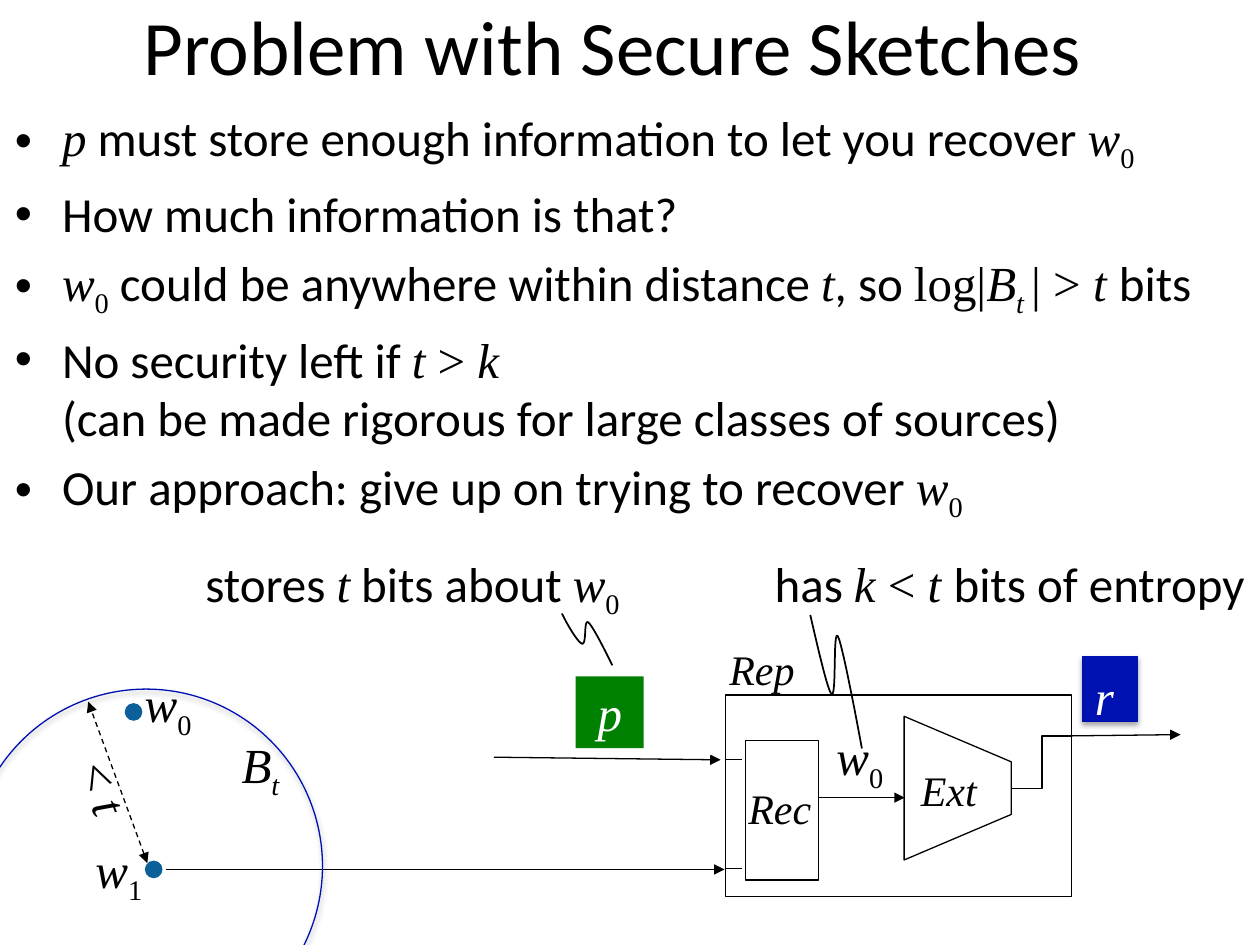
from lxml import etree
from pptx import Presentation
from pptx import util as u
from pptx.dml import color as colors
from pptx.enum import dml, shapes, text
from pptx.oxml import ns

STYLES = {
    "sans": ("Calibri", False, False),
    "serif": ("Times New Roman", False, False),
    "var": ("Times New Roman", True, False),
    "sub": ("Times New Roman", False, True),
    "varsub": ("Times New Roman", True, True),
}
W0 = [("w", "var"), ("0", "sub")]
W1 = [("w", "var"), ("1", "sub")]
BULLETS = [
    [("p", "var"), (" must store enough information to let you recover ", "sans"), *W0],
    [("How much information is that?", "sans")],
    [*W0, (" could be anywhere within distance ", "sans"), ("t", "var"),
     (", so ", "sans"), ("log|", "serif"), ("B", "var"), ("t ", "varsub"),
     ("| > ", "serif"), ("t ", "var"), ("bits", "sans")],
    [("No security left if ", "sans"), ("t", "var"), (" > ", "serif"), ("k", "var"),
     ("\n", "var"), ("(can be made rigorous for large classes of sources)", "sans")],
    [("Our approach: give up on trying to recover ", "sans"), *W0],
]


def rgb(value):
    return colors.RGBColor.from_string(value)


def points(*values):
    return [u.Pt(value) for value in values]


def add_child(parent, tag, **attributes):
    child = etree.SubElement(parent, ns.qn(tag))
    for name, value in attributes.items():
        child.set(name, str(value))
    return child


def write(para, spans, size=28, color="000000"):
    for words, style in spans:
        if words == "\n":
            para.add_line_break()
            continue
        name, italic, lowered = STYLES[style]
        span = para.add_run()
        span.text = words
        span.font.name = name
        span.font.italic = italic
        span.font.size = u.Pt(size)
        span.font.color.rgb = rgb(color)
        if lowered:
            span._r.get_or_add_rPr().set("baseline", "-25000")


def add_label(page, frame, spans, size=28, color="000000", fill=None, rotation=0):
    box = page.shapes.add_textbox(*points(*frame))
    box.rotation = rotation
    if fill:
        box.fill.solid()
        box.fill.fore_color.rgb = rgb(fill)
    box.text_frame.word_wrap = False
    box.text_frame.auto_size = text.MSO_AUTO_SIZE.SHAPE_TO_FIT_TEXT
    para = box.text_frame.paragraphs[0]
    if fill:
        para.alignment = text.PP_ALIGN.CENTER
    write(para, spans, size, color)


def add_title(page, words):
    box = page.shapes.add_textbox(*points(-39, -8, 778.5, 67.7))
    box.text_frame.word_wrap = True
    box.text_frame.vertical_anchor = text.MSO_ANCHOR.MIDDLE
    para = box.text_frame.paragraphs[0]
    para.alignment = text.PP_ALIGN.CENTER
    write(para, [(words, "sans")], 44)


def add_bullets(page):
    box = page.shapes.add_textbox(*points(1.4, 57.6, 748, 245))
    frame = box.text_frame
    frame.word_wrap = True
    for index, spans in enumerate(BULLETS):
        para = frame.add_paragraph() if index else frame.paragraphs[0]
        para.space_before = u.Pt(5.6 if index else 0)
        properties = para._p.get_or_add_pPr()
        properties.set("marL", str(u.Pt(27)))
        properties.set("indent", str(u.Pt(-27)))
        add_child(properties, "a:buFont", typeface="Arial")
        add_child(properties, "a:buChar", char="•")
        write(para, spans)


def paint(shape, fill=None, line=None, width=0.75):
    shape.shadow.inherit = False
    if fill:
        shape.fill.solid()
        shape.fill.fore_color.rgb = rgb(fill)
    else:
        shape.fill.background()
    if line:
        shape.line.color.rgb = rgb(line)
        shape.line.width = u.Pt(width)
    else:
        shape.line.fill.background()


def add_outline(page, kind, frame, fill=None, line=None, shadow=False):
    shape = page.shapes.add_shape(kind, *points(*frame))
    paint(shape, fill, line)
    if shadow:
        effects = shape._element.spPr.find(ns.qn("a:effectLst"))
        outer = add_child(effects, "a:outerShdw", blurRad=u.Pt(3.1), dist=u.Pt(1.8),
                          dir=5400000, rotWithShape=0)
        add_child(add_child(outer, "a:srgbClr", val="000000"), "a:alpha", val=35000)
    return shape


def add_line(page, start, end, heads=(), dashed=False, kind=shapes.MSO_CONNECTOR.STRAIGHT):
    line = page.shapes.add_connector(kind, *points(*start, *end))
    line.line.color.rgb = rgb("000000")
    line.line.width = u.Pt(0.75)
    if dashed:
        line.line.dash_style = dml.MSO_LINE.DASH
    properties = line._element.spPr
    for head in heads:
        add_child(properties.find(ns.qn("a:ln")), head, type="triangle")
    add_child(properties, "a:effectLst")


def add_curve(page, start, bends, steps=12):
    track, here = [], start
    for first, second, end in bends:
        for step in range(1, steps + 1):
            t = step / steps
            track.append(tuple(
                u.Pt((1 - t) ** 3 * a + 3 * t * (1 - t) ** 2 * b
                     + 3 * t ** 2 * (1 - t) * c + t ** 3 * d)
                for a, b, c, d in zip(here, first, second, end)))
        here = end
    builder = page.shapes.build_freeform(*points(*start))
    builder.add_line_segments(track, close=False)
    paint(builder.convert_to_shape(), line="000000", width=1)


def add_rep(page):
    kinds = shapes.MSO_SHAPE
    arrow = ["a:tailEnd"]
    add_outline(page, kinds.RECTANGLE, (414.4, 397.1, 198, 115.2), line="000000")
    add_label(page, (409.7, 364.3, 60.5, 36), [("Rep", "var")], 24)
    add_line(page, (612.7, 420.5), (674.6, 419.8), arrow)
    add_label(page, (329, 386.6, 38.9, 41), [("p", "var")], color="FFFFFF", fill="008000")
    extractor = add_outline(page, kinds.TRAPEZOID, (506.2, 419.8, 82.1, 61.2), line="000000")
    extractor.rotation = 90
    extractor.adjustments[0] = 0.425
    add_label(page, (519.1, 433.4, 54.7, 36), [("Ext", "var")], 24)
    add_line(page, (612.7, 420.5), (578.2, 450.7), kind=shapes.MSO_CONNECTOR.ELBOW)
    add_line(page, (95, 496.8), (414, 496.8), arrow)
    add_line(page, (282.2, 432.7), (411.8, 434.2), arrow)
    add_outline(page, kinds.RECTANGLE, (425.9, 423, 41.8, 79.9), line="000000")
    add_label(page, (420.5, 443.5, 59, 46.8), [("Rec", "var")], 24)
    for y in (434.2, 496.1):
        add_line(page, (414, y), (424.1, y))
    add_line(page, (467.3, 455.8), (517, 455.8), arrow)
    add_label(page, (470.9, 411.8, 46.1, 41), W0)
    add_outline(page, kinds.RECTANGLE, (618.5, 375.1, 31.7, 37.4), "0011B2", "0011B2", True)
    add_label(page, (618.5, 377.3, 35.3, 41), [("r", "var")], color="FFFFFF")


def add_ball(page):
    oval = shapes.MSO_SHAPE.OVAL
    add_outline(page, oval, (-17.3, 393.8, 201.6, 202.3), line="0011B2", shadow=True)
    for x, y in ((71.3, 401.8), (82.8, 491.8)):
        add_outline(page, oval, (x, y, 10.1, 10.1), "0B609A")
    add_label(page, (75.6, 381.6, 46.1, 41), W0)
    add_label(page, (47.5, 475.9, 46.1, 41), W1)
    add_line(page, (84.2, 493.2), (50.4, 401), ["a:headEnd", "a:tailEnd"], dashed=True)
    add_label(page, (36.7, 430.6, 46.8, 41), [("< ", "serif"), ("t", "var")], rotation=69.7)
    add_label(page, (131, 416.2, 40.3, 41), [("B", "var"), ("t", "varsub")])


def add_remarks(page):
    add_label(page, (110.2, 312.5, 257.8, 41),
              [("stores ", "sans"), ("t", "var"), (" bits about ", "sans"), *W0])
    add_curve(page, (321.1, 350.6), [
        ((325.4, 359.3), (330.5, 367.2), (332.6, 367.9)),
        ((335.5, 368.6), (333.4, 353.5), (336.2, 355.7)),
        ((339.1, 357.8), (349.9, 380.2), (349.9, 380.2))])
    add_label(page, (435.6, 312.5, 285.1, 41),
              [("has ", "sans"), ("k", "var"), (" < ", "serif"), ("t ", "var"),
               ("bits of entropy", "sans")])
    add_curve(page, (463, 351.4), [
        ((468, 373), (473, 394.6), (475.2, 396.7)),
        ((478.1, 398.9), (475.9, 358.6), (478.8, 363.6)),
        ((481.7, 368.6), (492.5, 427.7), (492.5, 427.7))])


def main():
    deck = Presentation()
    deck.slide_width, deck.slide_height = points(720, 540)
    page = deck.slides.add_slide(deck.slide_layouts[6])
    add_title(page, "Problem with Secure Sketches")
    add_bullets(page)
    add_rep(page)
    add_ball(page)
    add_remarks(page)
    deck.save("out.pptx")


if __name__ == "__main__":
    main()
